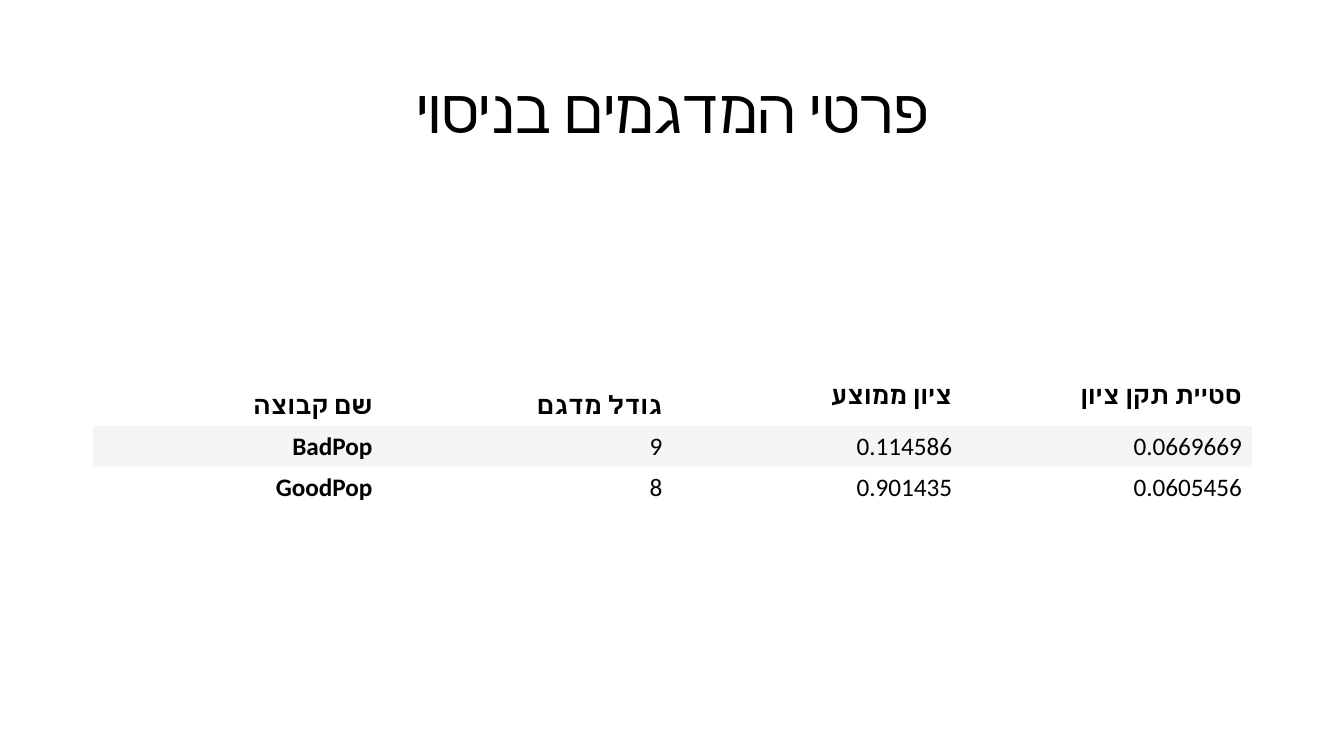
from dataclasses import dataclass

from lxml.etree import SubElement
from pptx import Presentation
from pptx.dml.color import RGBColor
from pptx.enum.text import MSO_ANCHOR, PP_ALIGN
from pptx.oxml.ns import qn
from pptx.util import Inches, Pt


@dataclass(frozen=True)
class Theme:
    font: str = "Calibri"
    ink: str = "000000"
    band: str = "F5F5F5"
    title_size: int = 44
    table_size: int = 18
    plain_table: str = "{2D5ABB26-0587-4C30-8999-92F81FD0307C}"


class SlideBuilder:
    def __init__(self, slide, theme):
        self.slide = slide
        self.theme = theme

    def set_text(self, frame, text, size, align, bold=False):
        frame.text = text
        para = frame.paragraphs[0]
        para.alignment = align
        for span in para.runs:
            span.font.name = self.theme.font
            span.font.size = Pt(size)
            span.font.bold = bold
            span.font.color.rgb = RGBColor.from_string(self.theme.ink)
            # Hebrew letters take the complex-script font
            script_font = SubElement(span.font._element, qn("a:cs"))
            script_font.set("typeface", self.theme.font)
        return para

    def title(self, text, left, top, width, height):
        box = self.slide.shapes.title
        box.left, box.top = Inches(left), Inches(top)
        box.width, box.height = Inches(width), Inches(height)
        box.text_frame.vertical_anchor = MSO_ANCHOR.MIDDLE
        para = self.set_text(box.text_frame, text, self.theme.title_size, PP_ALIGN.CENTER)
        para.line_spacing = 0.9

    def table(self, rows, left, top, width, heights, low_headers):
        table = self.slide.shapes.add_table(
            len(rows), len(rows[0]), Inches(left), Inches(top),
            Inches(width), Inches(sum(heights))).table
        table.horz_banding = False
        table._tbl.tblPr.find(qn("a:tableStyleId")).text = self.theme.plain_table
        for row, height in zip(table.rows, heights):
            row.height = Inches(height)
        for i, values in enumerate(rows):
            for j, value in enumerate(values):
                cell = table.cell(i, j)
                low = i == 0 and j < low_headers
                cell.vertical_anchor = MSO_ANCHOR.BOTTOM if low else MSO_ANCHOR.MIDDLE
                self.set_text(cell.text_frame, value, self.theme.table_size,
                              PP_ALIGN.RIGHT, bold=i == 0 or j == 0)
                # Odd rows are shaded
                if i % 2:
                    cell.fill.solid()
                    cell.fill.fore_color.rgb = RGBColor.from_string(self.theme.band)
                else:
                    cell.fill.background()


SAMPLES = [
    ["שם קבוצה", "גודל מדגם", "ציון ממוצע", "סטיית תקן ציון"],
    ["BadPop", "9", "0.114586", "0.0669669"],
    ["GoodPop", "8", "0.901435", "0.0605456"],
]


def main():
    deck = Presentation()
    deck.slide_width, deck.slide_height = Inches(13.33), Inches(7.5)
    page = SlideBuilder(deck.slides.add_slide(deck.slide_layouts[5]), Theme())

    # Heading
    page.title("פרטי המדגמים בניסוי", 0.92, 0.4, 11.5, 1.45)

    # Sample details
    page.table(SAMPLES, 0.92, 3.63, 11.5, heights=[0.6, 0.4, 0.4], low_headers=2)

    deck.save("out.pptx")


if __name__ == "__main__":
    main()
